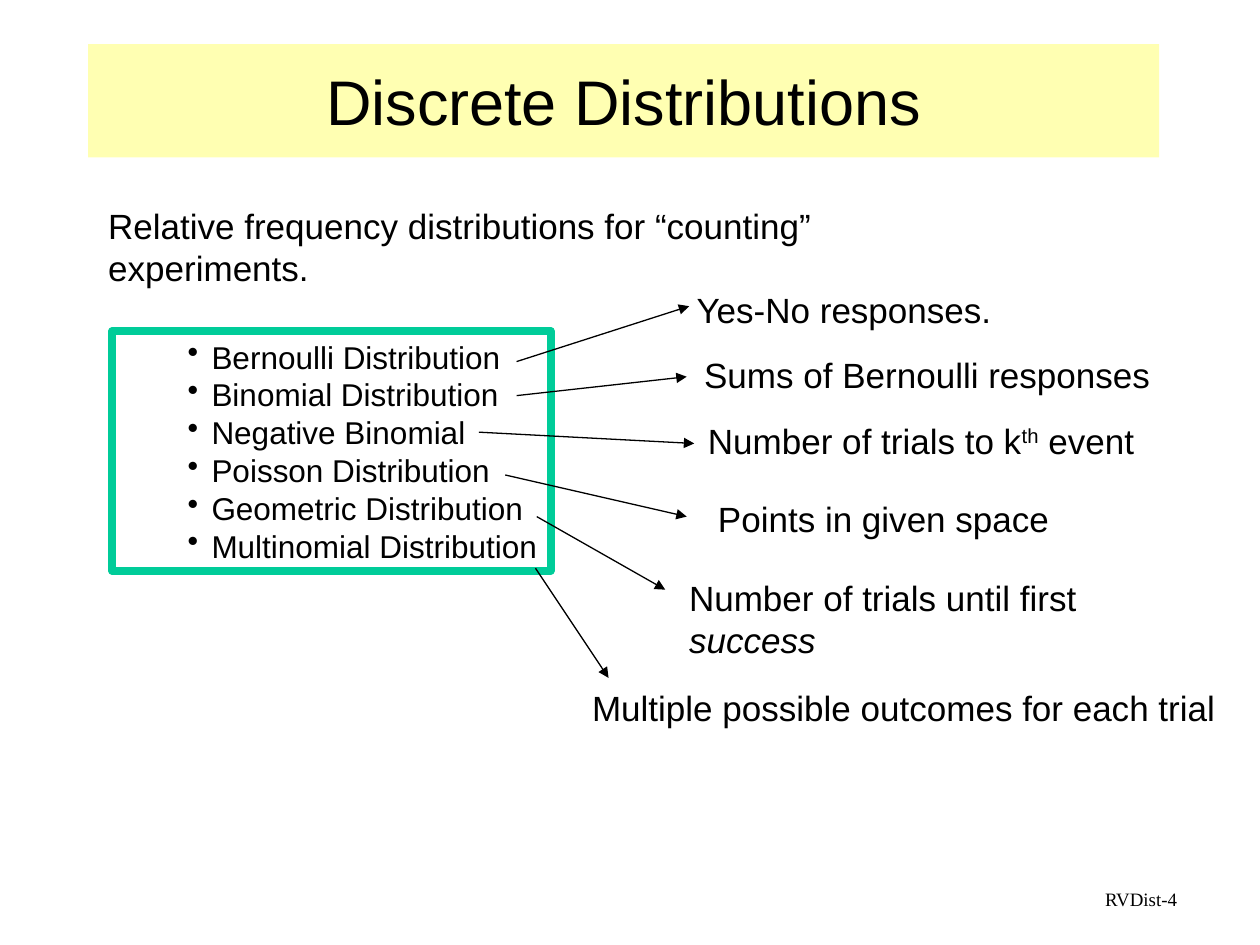
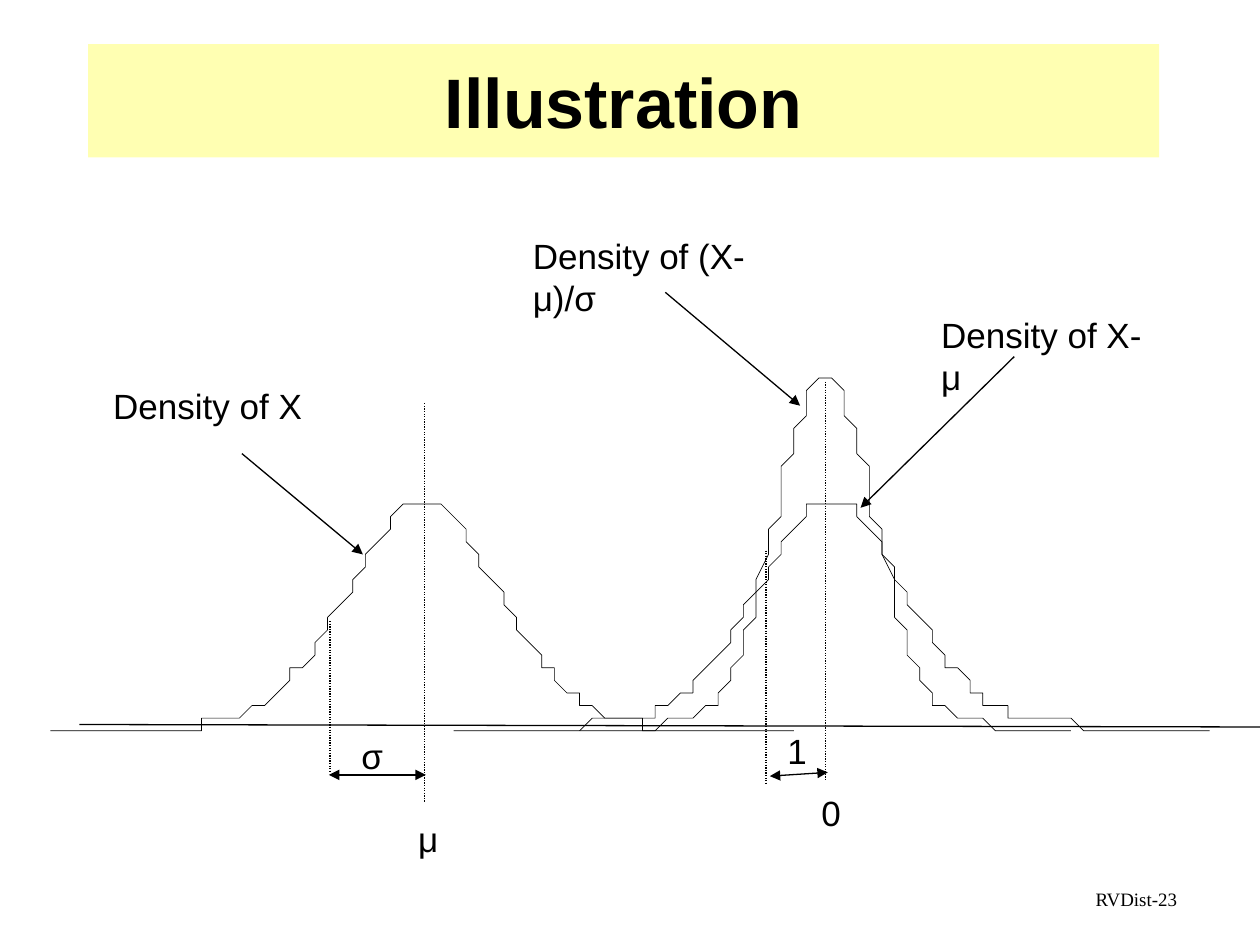
"""Builds two slides on discrete distributions and standardised densities."""
from math import exp

from lxml.etree import SubElement
from pptx import Presentation
from pptx.dml.color import RGBColor
from pptx.enum.dml import MSO_LINE
from pptx.enum.shapes import MSO_CONNECTOR, MSO_SHAPE
from pptx.enum.text import MSO_ANCHOR, PP_ALIGN
from pptx.oxml.ns import qn
from pptx.util import Inches, Pt

BLACK = RGBColor(0x00, 0x00, 0x00)
GREEN = RGBColor(0x00, 0xCC, 0x99)
YELLOW = RGBColor(0xFF, 0xFF, 0x66)
BODY_FONT, FOOTER_FONT = "Arial", "Times New Roman"
COLUMNS = 100
LABEL_ROWS = 4.4

deck = Presentation()
deck.slide_width, deck.slide_height = Inches(10), Inches(7.5)
CELL = deck.slide_width / COLUMNS


def add_text(slide, spans, left, top, width, height=LABEL_ROWS, size=20, font=BODY_FONT, wrap=False):
    """Add a text box with one paragraph made of the given spans."""
    box = slide.shapes.add_textbox(*(round(n * CELL) for n in (left, top, width, height)))
    box.text_frame.word_wrap = wrap
    para = box.text_frame.paragraphs[0]
    for text in spans:
        span = para.add_run()
        span.text = text
        span.font.size, span.font.name = Pt(size), font
        span.font.color.rgb = BLACK
    return box


def add_line(slide, start, end, arrows=(), dotted=False):
    """Draw a thin line, with arrowheads at the named ends."""
    line = slide.shapes.add_connector(
        MSO_CONNECTOR.STRAIGHT, *(round(n * CELL) for n in (*start, *end)))
    line.line.color.rgb, line.line.width = BLACK, Pt(0.75)
    if dotted:
        line.line.dash_style = MSO_LINE.ROUND_DOT
    for arrow in arrows:
        SubElement(line.line._get_or_add_ln(), qn(f"a:{arrow}"), type="triangle")
    SubElement(line._element.spPr, qn("a:effectLst"))


slides = []
for title, size, bold, number in (("Discrete Distributions", 36, False, 4),
                                  ("Illustration", 40, True, 23)):
    slide = deck.slides.add_slide(deck.slide_layouts[6])
    slides.append(slide)

    band = add_text(slide, [title], 7, 3.5, 85, 9, size, wrap=True)
    band.fill.solid()
    band.fill.fore_color.rgb = YELLOW
    SubElement(band.fill._xPr.find(qn("a:solidFill"))[0], qn("a:alpha"), val="50000")
    band.text_frame.vertical_anchor = MSO_ANCHOR.MIDDLE
    heading = band.text_frame.paragraphs[0]
    heading.alignment = PP_ALIGN.CENTER
    heading.runs[0].font.bold = bold

    footer = add_text(slide, [f"RVDist-{number}"], 71.7, 70.3, 22.7, 3, 10.8, FOOTER_FONT, True)
    footer.text_frame.paragraphs[0].alignment = PP_ALIGN.RIGHT
    footer.text_frame.paragraphs[0].line_spacing = 0.8

distributions, illustration = slides

add_text(distributions, ["Relative frequency distributions for “counting” experiments."],
         7.6, 15.7, 74.5)

frame = distributions.shapes.add_shape(
    MSO_SHAPE.RECTANGLE, *(round(n * CELL) for n in (8.9, 26.3, 34.8, 19)))
frame.shadow.inherit = False
frame.fill.background()
frame.line.color.rgb, frame.line.width = GREEN, Pt(4.5)
frame.text_frame.word_wrap = False
frame.text_frame.vertical_anchor = MSO_ANCHOR.TOP
frame.text_frame.text = "\n".join((
    "Bernoulli Distribution", "Binomial Distribution", "Negative Binomial",
    "Poisson Distribution", "Geometric Distribution", "Multinomial Distribution"))
for para in frame.text_frame.paragraphs:
    para.alignment = PP_ALIGN.LEFT
    para.line_spacing = Pt(21.6)
    properties = para._p.get_or_add_pPr()
    properties.set("marL", str(Inches(0.69)))
    properties.set("indent", str(Inches(-0.19)))
    SubElement(properties, qn("a:buChar"), char="•")
    font = para.runs[0].font
    font.size, font.name, font.color.rgb = Pt(18), BODY_FONT, BLACK

meanings = (
    (["Yes-No responses."], (54.3, 22.4, 25.6), (41, 28.7), (54.7, 24.3)),
    (["Sums of Bernoulli responses"], (54.9, 27.6, 37.4), (41, 31.4), (54.5, 29.9)),
    (["Number of trials to k", "th", " event"], (55.2, 32.8, 35.8), (38, 34.3), (55.1, 35.2)),
    (["Points in given space"], (56, 39, 28.3), (40.1, 37.7), (54.5, 41)),
    (["Number of trials until first ", "success"], (53.7, 45.3, 42.9), (42.6, 41), (52.8, 46.8)),
    (["Multiple possible outcomes for each trial"], (46, 54, 51.5), (42.5, 45.1), (48.3, 53.8)),
)
for spans, place, start, end in meanings:
    meaning = add_text(distributions, spans, *place, wrap="success" in spans)
    for span in meaning.text_frame.paragraphs[0].runs:
        if span.text == "th":
            span.font._element.set("baseline", "30000")
        elif span.text == "success":
            span.font.italic = True
    add_line(distributions, start, end, ["tailEnd"])

STEPS_PER_SIGMA, SIGMAS = 10, 5
reach = STEPS_PER_SIGMA * SIGMAS
for mean, base, height, sigma in ((33.6, 57.7, 18, 5.95),
                                  (65.95, 57.6, 18, 5.95),
                                  (65.5, 57.6, 27.7, 3.87)):
    scores = [step / STEPS_PER_SIGMA for step in range(-reach, reach + 1)]
    points = [(mean + z * sigma, base - height * exp(-z * z / 2)) for z in scores]
    builder = illustration.shapes.build_freeform(*points[0], scale=CELL)
    builder.add_line_segments(points[1:], close=False)
    curve = builder.convert_to_shape()
    curve.shadow.inherit = False
    curve.fill.background()
    curve.line.color.rgb, curve.line.width = BLACK, Pt(0.37)

add_line(illustration, (6.3, 57.5), (COLUMNS, 57.7))
for column, top, bottom in ((33.7, 32, 63.7), (26.2, 49.3, 61.2),
                            (65.5, 30.3, 62), (60.8, 43.7, 62.2)):
    add_line(illustration, (column, top), (column, bottom), dotted=True)
for start, end in (((26.1, 61.5), (33.8, 61.5)), ((61.1, 61.6), (65.7, 61.3))):
    add_line(illustration, start, end, ["headEnd", "tailEnd"])
for start, end in (((19.2, 36), (28.8, 44)), ((80.5, 28.3), (68.3, 40.3)),
                   ((52.8, 23.2), (63.5, 32.2))):
    add_line(illustration, start, end, ["tailEnd"])

for label, left, top, width in (("μ", 32.2, 64.4, 3.6), ("σ", 27.7, 57.8, 3.7),
                                ("0", 64.2, 62.3, 3.5), ("1", 61.5, 57.4, 3.5),
                                ("Density of X", 8, 30, 17),
                                ("Density of X-μ", 73.7, 24.4, 19.5)):
    add_text(illustration, [label], left, top, width)
add_text(illustration, ["Density of (X-μ)/σ"], 41.3, 18.1, 23.8, wrap=True)

deck.save("out.pptx")
